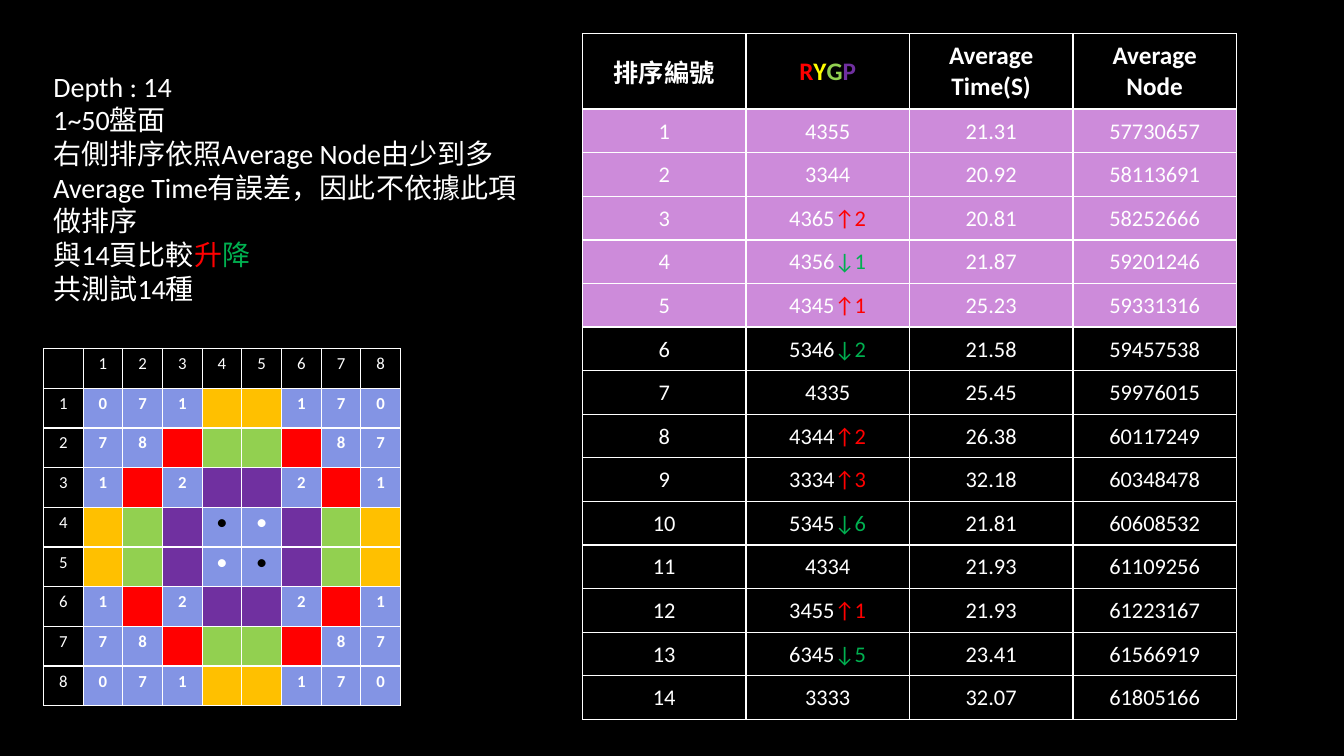
import dataclasses
import typing

import lxml.etree
import pptx
import pptx.dml.color
import pptx.enum.text
import pptx.oxml.ns
import pptx.util

Pt = pptx.util.Pt
ALIGN = pptx.enum.text.PP_ALIGN
ANCHOR = pptx.enum.text.MSO_ANCHOR
WHITE, BLACK, RED, GREEN = "FFFFFF", "000000", "FF0000", "00B050"
LIME, PURPLE, GOLD = "92D050", "7030A0", "FFC000"
BLUE, PINK = "8394E4", "CD8BDA"


class Span(typing.NamedTuple):
    text: str
    hue: str = WHITE


Lines = list[list[Span]]


@dataclasses.dataclass
class Cell:
    lines: Lines
    size: int
    bold: bool = False
    fill: str | None = None
    anchor: ANCHOR = ANCHOR.MIDDLE
    inset: tuple[float, float] | None = None  # sides and top, bottom
    base: int = 1  # width of the bottom border


@dataclasses.dataclass
class Grid:
    left: float
    top: float
    width: float
    heights: list[float]
    cells: list[list[Cell]]


def rgb(hue: str) -> pptx.dml.color.RGBColor:
    return pptx.dml.color.RGBColor.from_string(hue)


def write(frame, lines: Lines, size: int, bold: bool, align: ALIGN) -> None:
    for i, spans in enumerate(lines):
        para = frame.add_paragraph() if i else frame.paragraphs[0]
        para.alignment = align
        para.font.name = "Calibri"
        para.font.size = Pt(size)
        para.font.bold = bold
        for span in spans:
            run = para.add_run()
            run.text = span.text
            run.font.color.rgb = rgb(span.hue)


def border(cell, base: int) -> None:
    props = cell._tc.get_or_add_tcPr()
    for side, width in zip("LRTB", (1, 1, 1, base)):
        line = lxml.etree.SubElement(
            props, pptx.oxml.ns.qn(f"a:ln{side}"), w=str(Pt(width)))
        solid = lxml.etree.SubElement(line, pptx.oxml.ns.qn("a:solidFill"))
        lxml.etree.SubElement(solid, pptx.oxml.ns.qn("a:srgbClr"), val=WHITE)


def fill_cell(cell, data: Cell) -> None:
    border(cell, data.base)
    if data.fill:
        cell.fill.solid()
        cell.fill.fore_color.rgb = rgb(data.fill)
    else:
        cell.fill.background()
    cell.vertical_anchor = data.anchor
    if data.inset:
        side, foot = data.inset
        cell.margin_left = cell.margin_right = cell.margin_top = Pt(side)
        cell.margin_bottom = Pt(foot)
    write(cell.text_frame, data.lines, data.size, data.bold, ALIGN.CENTER)


def draw_grid(slide, grid: Grid) -> None:
    count = len(grid.cells[0])
    table = slide.shapes.add_table(
        len(grid.cells), count, Pt(grid.left), Pt(grid.top),
        Pt(grid.width), Pt(sum(grid.heights))).table
    table.first_row = table.horz_banding = False
    for col in table.columns:
        col.width = Pt(grid.width / count)
    for row, height, cells in zip(table.rows, grid.heights, grid.cells):
        row.height = Pt(height)
        for cell, data in zip(row.cells, cells):
            fill_cell(cell, data)


# Board: one quarter, mirrored both ways; letters stand for plain colours
PAINT = {"R": RED, "Y": GOLD, "G": LIME, "P": PURPLE}
QUARTER = ["071Y", "78RG", "1R2P", "YGP●"]
HALF = [row + row[::-1] for row in QUARTER]


def label(text: str) -> Cell:
    return Cell([[Span(text)]] if text else [[]], 12, anchor=ANCHOR.TOP)


def square(mark: str, row: int, col: int) -> Cell:
    if mark in PAINT:
        return Cell([[]], 12, fill=PAINT[mark])
    hue = BLACK if mark == "●" and row == col else WHITE
    return Cell([[Span(mark, hue)]], 12, True, BLUE, ANCHOR.TOP)


def board() -> Grid:
    cells = [[label(str(n or "")) for n in range(9)]]
    for r, marks in enumerate(HALF + HALF[::-1]):
        squares = [square(mark, r, c) for c, mark in enumerate(marks)]
        cells.append([label(str(r + 1))] + squares)
    return Grid(31, 249, 255.2, [28.35] * 9, cells)


# Ranking: weights, change of rank, average time, average node
RANKS = [
    ("4355", 0, "21.31", "57730657"),
    ("3344", 0, "20.92", "58113691"),
    ("4365", 2, "20.81", "58252666"),
    ("4356", -1, "21.87", "59201246"),
    ("4345", 1, "25.23", "59331316"),
    ("5346", -2, "21.58", "59457538"),
    ("4335", 0, "25.45", "59976015"),
    ("4344", 2, "26.38", "60117249"),
    ("3334", 3, "32.18", "60348478"),
    ("5345", -6, "21.81", "60608532"),
    ("4334", 0, "21.93", "61109256"),
    ("3455", 1, "21.93", "61223167"),
    ("6345", -5, "23.41", "61566919"),
    ("3333", 0, "32.07", "61805166"),
]
TOP_RANKS = 5
HEADS: list[Lines] = [
    [[Span("排序編號")]],
    [[Span("R", RED), Span("Y", "FFFF00"), Span("G", LIME),
      Span("P", PURPLE)]],
    [[Span("Average")], [Span("Time(S)")]],
    [[Span("Average")], [Span("Node")]],
]


def shift(move: int) -> list[Span]:
    if not move:
        return []
    return [Span(f"↑{move}", RED) if move > 0 else Span(f"↓{-move}", GREEN)]


def ranking() -> Grid:
    cells = [[Cell(head, 18, True, base=2) for head in HEADS]]
    for n, (code, move, time, node) in enumerate(RANKS, 1):
        fill = PINK if n <= TOP_RANKS else None
        texts = [[Span(str(n))], [Span(code)] + shift(move),
                 [Span(time)], [Span(node)]]
        cells.append([Cell([spans], 16, fill=fill, inset=(0.7, 0))
                      for spans in texts])
    return Grid(416, 24, 467.2, [54] + [31.15] * len(RANKS), cells)


NOTES: Lines = [
    [Span("Depth : 14")],
    [Span("1~50盤面")],
    [Span("右側排序依照Average Node由少到多")],
    [Span("Average Time有誤差，因此不依據此項做排序")],
    [Span("與14頁比較"), Span("升", RED), Span("降", GREEN)],
    [Span("共測試14種")],
]


def draw_notes(slide) -> None:
    box = slide.shapes.add_textbox(Pt(31), Pt(46), Pt(364), Pt(177))
    box.text_frame.word_wrap = True
    box.text_frame.auto_size = pptx.enum.text.MSO_AUTO_SIZE.SHAPE_TO_FIT_TEXT
    write(box.text_frame, NOTES, 20, False, ALIGN.LEFT)


# Slide
deck = pptx.Presentation()
deck.slide_width, deck.slide_height = Pt(960), Pt(540)
slide = deck.slides.add_slide(deck.slide_layouts[6])
slide.background.fill.solid()
slide.background.fill.fore_color.rgb = rgb(BLACK)
draw_grid(slide, board())
draw_notes(slide)
draw_grid(slide, ranking())
deck.save("out.pptx")
